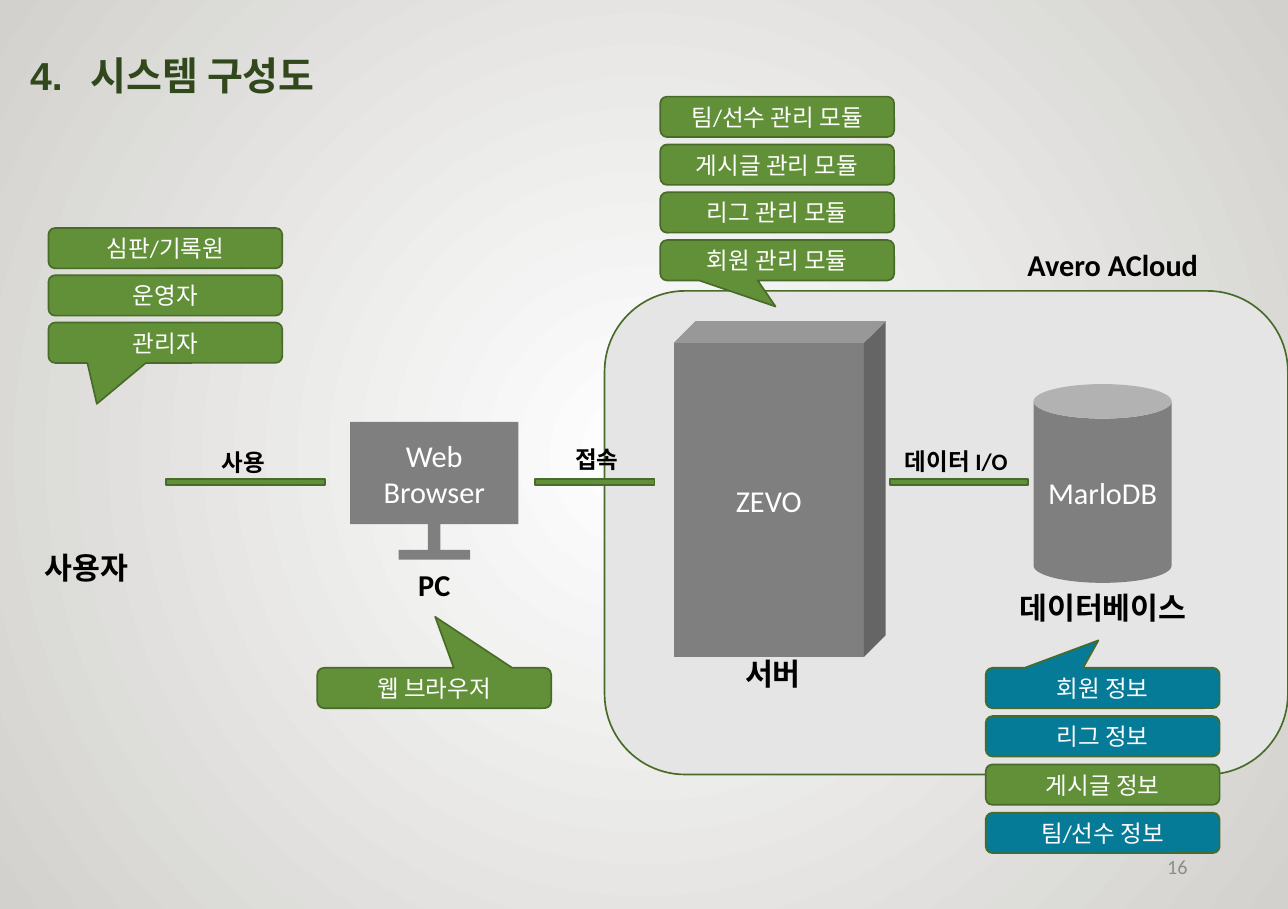
import pptx
import pptx.util
import pptx.dml.color
import pptx.enum.shapes
import pptx.enum.text
import pptx.oxml
import pptx.oxml.ns

Pt = pptx.util.Pt
SHAPE = pptx.enum.shapes.MSO_SHAPE
ALIGN = pptx.enum.text.PP_ALIGN
ANCHOR = pptx.enum.text.MSO_ANCHOR
COLORS = {
    "white": "FFFFFF", "black": "000000", "backdrop": "D2D1CD", "cloud": "E5E5E5",
    "device": "7F7F7F", "green": "629038", "outline": "496B29", "teal": "057B97",
    "title": "31481C", "number": "8C8C8C",
}
RGB = {name: pptx.dml.color.RGBColor.from_string(value) for name, value in COLORS.items()}

deck = pptx.Presentation()
deck.slide_width, deck.slide_height = Pt(765.4), Pt(540)
slide = deck.slides.add_slide(deck.slide_layouts[6])


def write(holder, text, size=18, color="black", bold=False, font="Calibri",
          align=ALIGN.CENTER, anchor=ANCHOR.TOP, wrap=True):
    frame = holder.text_frame
    frame.word_wrap = wrap
    frame.vertical_anchor = anchor
    paragraph = frame.paragraphs[0]
    paragraph.alignment = align
    run = paragraph.add_run()
    run.text = text
    run.font.size = Pt(size)
    run.font.name = font
    run.font.bold = bold
    run.font.color.rgb = RGB[color]
    return paragraph


def draw(kind, left, top, width, height, fill, outlined=False, text="", size=18, adjust=()):
    shape = slide.shapes.add_shape(kind, Pt(left), Pt(top), Pt(width), Pt(height))
    shape.shadow.inherit = False
    shape.fill.solid()
    shape.fill.fore_color.rgb = RGB[fill]
    if outlined:
        shape.line.color.rgb = RGB["outline"]
        shape.line.width = Pt(1)
    else:
        shape.line.fill.background()
    for index, value in enumerate(adjust):
        shape.adjustments[index] = value
    if text:
        write(shape, text, size=size, color="white", anchor=ANCHOR.MIDDLE)


backdrop = slide.background.fill
backdrop.gradient()
for stop, name in zip(backdrop.gradient_stops, ("white", "backdrop")):
    stop.color.rgb = RGB[name]
gradient = slide.element.find(".//" + pptx.oxml.ns.qn("a:gradFill"))
gradient.remove(gradient.find(pptx.oxml.ns.qn("a:lin")))
gradient.append(pptx.oxml.parse_xml(
    '<a:path xmlns:a="http://schemas.openxmlformats.org/drawingml/2006/main" path="circle">'
    '<a:fillToRect l="50000" t="50000" r="50000" b="50000"/></a:path>'))

draw(SHAPE.FLOWCHART_ALTERNATE_PROCESS, 359.3, 172.8, 406.1, 287.3, "cloud", outlined=True)

title_box = slide.shapes.add_textbox(Pt(10.8), Pt(0), Pt(414), Pt(39.6))
title = write(title_box, "4.\t시스템 구성도", size=40, color="title", bold=True,
              font="Arial", align=ALIGN.LEFT)
title.space_before = Pt(4)
title_format = title._p.get_or_add_pPr()
title_format.set("marL", str(Pt(36)))
title_format.set("indent", str(Pt(-36)))
title.runs[0].font._element.set("baseline", "-25000")

draw(SHAPE.RECTANGLE, 208.1, 250.6, 100, 60.8, "device", text="Web Browser")
draw(SHAPE.RECTANGLE, 254.2, 311.4, 7.5, 15.3, "device")
draw(SHAPE.RECTANGLE, 236.9, 326.7, 42.5, 5.8, "device")
draw(SHAPE.CUBE, 400.3, 190.8, 126, 199.5, "device", text="ZEVO", adjust=[0.103])
draw(SHAPE.CAN, 614.2, 228.2, 82.1, 118.1, "device", text="MarloDB")

PILL_WIDTH, PILL_HEIGHT = 139, 24
stacks = [
    (392.4, 57.4, 28.4, 3, (-0.007, 1.145, 0.167), [
        ("팀/선수 관리 모듈", "green"), ("게시글 관리 모듈", "green"),
        ("리그 관리 모듈", "green"), ("회원 관리 모듈", "green")]),
    (585.8, 396.7, 28.7, 0, (-0.018, -1.18, 0.167), [
        ("회원 정보", "teal"), ("리그 정보", "teal"),
        ("게시글 정보", "green"), ("팀/선수 정보", "teal")]),
    (188.6, 396.7, 0, 0, (0.004, -1.762, 0.167), [("웹 브라우저", "green")]),
    (28.8, 135.4, 28.1, 2, (-0.293, 1.512, 0.167), [
        ("심판/기록원", "green"), ("운영자", "green"), ("관리자", "green")]),
]
for left, top, step, callout_row, pointer, entries in stacks:
    for row, (entry, fill) in enumerate(entries):
        is_callout = row == callout_row
        draw(SHAPE.ROUNDED_RECTANGULAR_CALLOUT if is_callout else SHAPE.FLOWCHART_ALTERNATE_PROCESS,
             left, top + row * step, PILL_WIDTH, PILL_HEIGHT, fill, outlined=True,
             text=entry, size=14, adjust=pointer if is_callout else ())

for left, width in ((81.4, 128.9), (305.3, 96.5), (514.1, 111.6)):
    draw(SHAPE.MATH_MINUS, left, 278.9, width, 15.1, "green", outlined=True)

captions = [
    ("사용자", 10.8, 322.6, 81.4), ("PC", 217.4, 332.6, 81.4), ("서버", 399.6, 385.9, 119.5),
    ("데이터베이스", 577.4, 346.3, 156.2), ("Avero ACloud", 591.8, 142.6, 139),
]
for caption, left, top, width in captions:
    caption_box = slide.shapes.add_textbox(Pt(left), Pt(top), Pt(width), Pt(28.8))
    write(caption_box, caption, bold=True)

flows = [("사용", 124.6, 262.8, 42.5, False), ("접속", 334.8, 260.6, 48.2, True),
         ("데이터 I/O", 530.6, 262.1, 87.8, True)]
for flow, left, top, width, wrap in flows:
    flow_box = slide.shapes.add_textbox(Pt(left), Pt(top), Pt(width), Pt(24.5))
    write(flow_box, flow, size=14, bold=True, align=ALIGN.LEFT, wrap=wrap)

number_box = slide.shapes.add_textbox(Pt(540.7), Pt(500.4), Pt(172.1), Pt(28.8))
write(number_box, "16", size=12, color="number", align=ALIGN.RIGHT, anchor=ANCHOR.MIDDLE)

deck.save("out.pptx")
